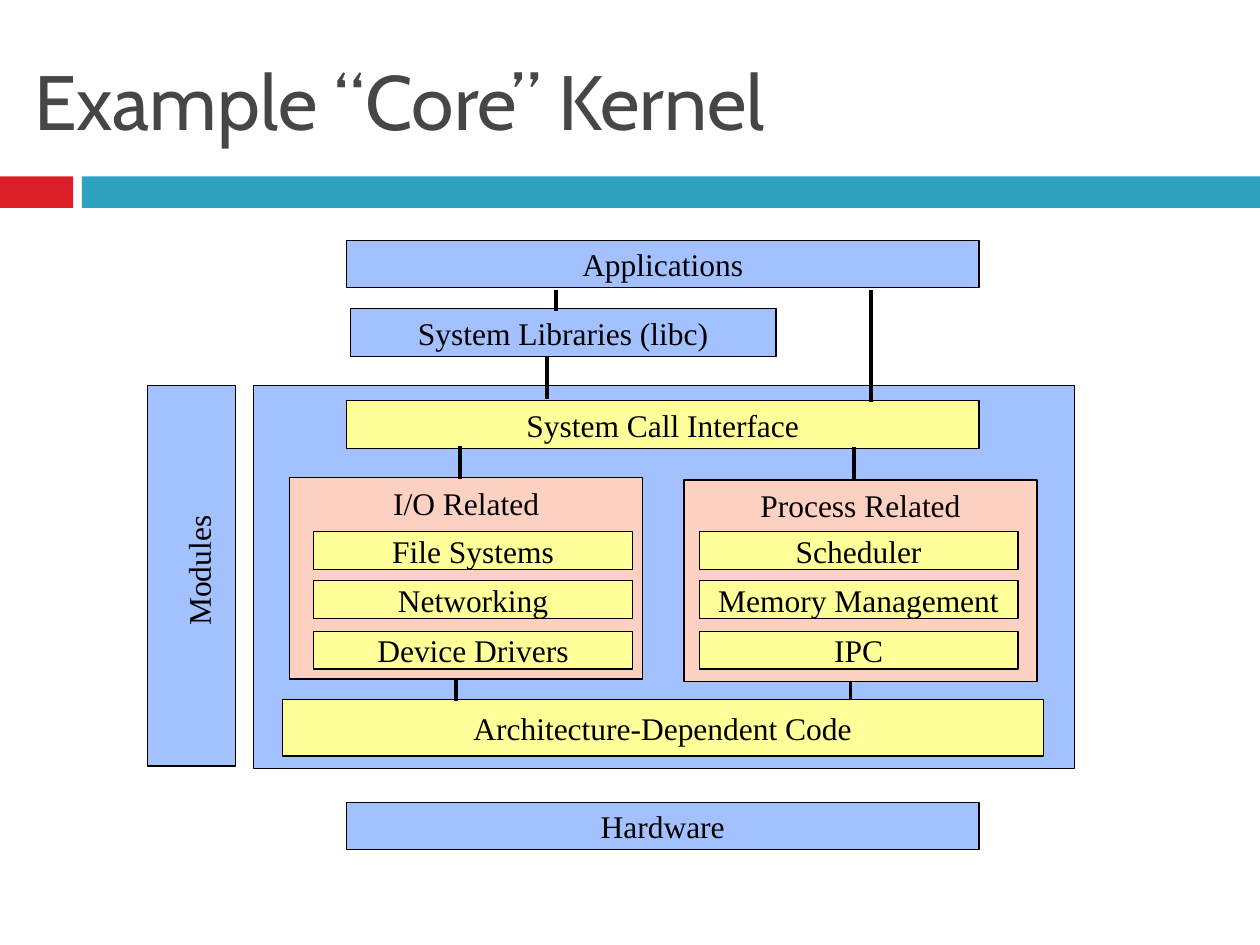
from dataclasses import dataclass
from lxml.etree import SubElement
from pptx import Presentation
from pptx.dml.color import RGBColor as RGB
from pptx.enum.shapes import MSO_CONNECTOR as LINK, MSO_SHAPE as SHAPE
from pptx.enum.text import MSO_ANCHOR as ANCHOR, MSO_AUTO_SIZE as FIT, PP_ALIGN as ALIGN
from pptx.oxml.ns import qn
from pptx.util import Pt


@dataclass
class Theme:
    red: str = "DA1F28"
    teal: str = "2DA2BF"
    blue: str = "A2C1FE"
    yellow: str = "FFFF99"
    pink: str = "FCD1C1"
    ink: str = "000000"
    gray: str = "464646"
    head: str = "Cabin"
    body: str = "Times New Roman"
    big: int = 44
    small: int = 18
    thin: float = 0.75
    thick: float = 2.25


PX = 9144
theme = Theme()
deck = Presentation()
deck.slide_width, deck.slide_height = 1000 * PX, 750 * PX
slide = deck.slides.add_slide(deck.slide_layouts[5])
shapes = slide.shapes


def write(shape, text, face, size, color, align=ALIGN.CENTER, anchor=ANCHOR.MIDDLE, wrap=False):
    frame = shape.text_frame
    frame.text = text
    frame.word_wrap = wrap
    frame.auto_size = FIT.NONE
    frame.vertical_anchor = anchor
    para = frame.paragraphs[0]
    para.alignment = align
    font = para.runs[0].font
    font.name, font.size = face, Pt(size)
    font.color.rgb = RGB.from_string(color)


def box(x, y, w, h, fill, text="", anchor=ANCHOR.MIDDLE, edge=True):
    rect = shapes.add_shape(SHAPE.RECTANGLE, x * PX, y * PX, w * PX, h * PX)
    rect.shadow.inherit = False
    rect.fill.solid()
    rect.fill.fore_color.rgb = RGB.from_string(fill)
    if edge:
        rect.line.color.rgb = RGB.from_string(theme.ink)
        rect.line.width = Pt(theme.thin)
    else:
        rect.line.fill.background()
    if text:
        write(rect, text, theme.body, theme.small, theme.ink, anchor=anchor)


box(0, 140, 58, 25, theme.red, edge=False)
box(65, 140, 935, 25, theme.teal, edge=False)

title = shapes.title
title.left, title.top, title.width, title.height = 17 * PX, 25 * PX, 967 * PX, 108 * PX
write(title, "Example “Core” Kernel", theme.head, theme.big, theme.gray, ALIGN.LEFT, wrap=True)

box(201, 306, 652, 304, theme.blue)
layers = [
    (275, 191, 502, 37, theme.blue, "Applications"),
    (278, 245, 338, 38, theme.blue, "System Libraries (libc)"),
    (275, 318, 502, 38, theme.yellow, "System Call Interface"),
    (275, 637, 502, 37, theme.blue, "Hardware"),
    (224, 555, 604, 45, theme.yellow, "Architecture-Dependent Code"),
]
for layer in layers:
    box(*layer)

groups = [
    (230, 379, 249, "I/O Related", ["File Systems", "Networking", "Device Drivers"]),
    (543, 381, 555, "Process Related", ["Scheduler", "Memory Management", "IPC"]),
]
for x, y, left, name, parts in groups:
    box(x, y, 280, 160, theme.pink, name, ANCHOR.TOP)
    for row, part in enumerate(parts):
        box(left, 422 + row * 79 // 2, 253, 30, theme.yellow, part)

box(117, 306, 70, 302, theme.blue)
label = shapes.add_textbox(104 * PX, 433 * PX, 107 * PX, 40 * PX)
label.rotation = 270
write(label, "Modules", theme.body, theme.small, theme.ink, ALIGN.LEFT, ANCHOR.TOP)

links = [
    (441, 230, 247),
    (434, 283, 317),
    (691, 230, 319),
    (365, 354, 380),
    (678, 355, 381),
    (362, 539, 556),
    (675, 541, 555),
]
for x, top, end in links:
    link = shapes.add_connector(LINK.STRAIGHT, x * PX, top * PX, x * PX, end * PX)
    link.line.color.rgb = RGB.from_string(theme.ink)
    link.line.width = Pt(theme.thick)
    SubElement(link._element.spPr, qn("a:effectLst"))

deck.save("out.pptx")
